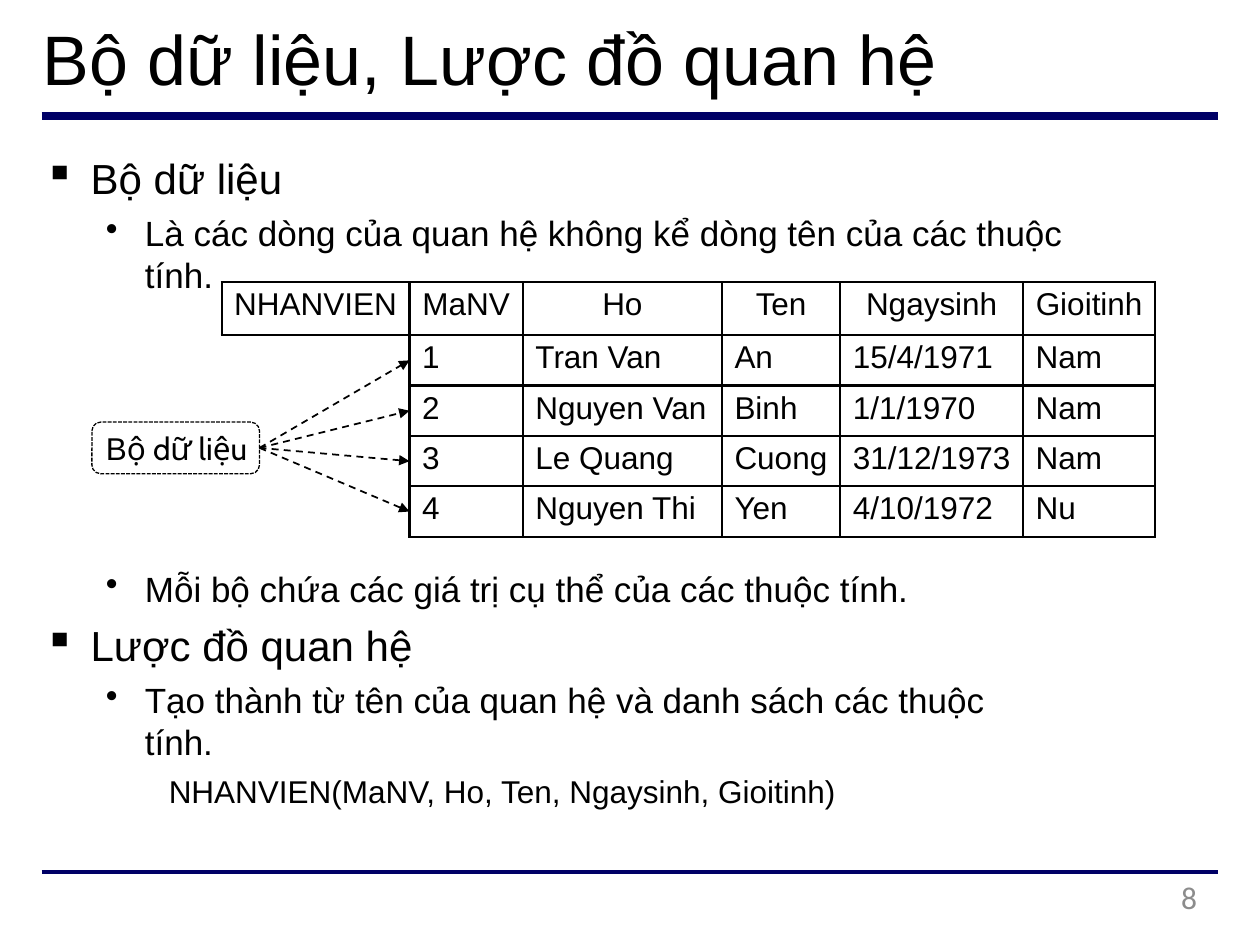
import itertools

import pptx
import pptx.dml.color
import pptx.enum.dml
import pptx.enum.shapes
import pptx.enum.text
import pptx.oxml.ns
import pptx.util
from lxml import etree

THEME = {
    "ink": pptx.dml.color.RGBColor(0x00, 0x00, 0x00),
    "rule": pptx.dml.color.RGBColor(0x00, 0x00, 0x66),
    "number": pptx.dml.color.RGBColor(0x8C, 0x8C, 0x8C),
    "font": "Arial",
    "label_font": "Cabin",
    "number_font": "Calibri",
    "title": 40,
    "topic": 24,
    "point": 20,
    "small": 18,
}

deck = pptx.Presentation()
deck.slide_width = pptx.util.Inches(10)
deck.slide_height = pptx.util.Inches(7.5)
page = deck.slides.add_slide(deck.slide_layouts[6])

# Grid of 100 columns by 75 rows, with square cells
CELL = deck.slide_width // 100
MARGIN = 3.3
qn = pptx.oxml.ns.qn


def add_text(left, top, width, height, inset, lines):
    """Each line: text, size, indent, hanging, bullet, space before."""
    box = page.shapes.add_textbox(*(int(n * CELL) for n in (left, top, width, height)))
    frame = box.text_frame
    frame.word_wrap = True
    frame.margin_left = frame.margin_right = frame.margin_bottom = 0
    frame.margin_top = int(inset * CELL)
    for number, (text, size, indent, hanging, bullet, before) in enumerate(lines):
        para = frame.paragraphs[0] if number == 0 else frame.add_paragraph()
        para.text = text
        if number:
            para.space_before = pptx.util.Pt(before)
        props = para._p.get_or_add_pPr()
        props.set("marL", str(int(indent * CELL)))
        props.set("indent", str(int(-hanging * CELL)))
        if bullet:
            etree.SubElement(props, qn("a:buChar")).set("char", bullet)
        para.font.size = pptx.util.Pt(THEME[size])
        para.font.name = THEME["font"]
        para.font.color.rgb = THEME["ink"]
    return frame


def add_line(start, end, color, weight):
    line = page.shapes.add_connector(
        pptx.enum.shapes.MSO_CONNECTOR.STRAIGHT, *(int(n * CELL) for n in start + end))
    line.line.color.rgb = color
    line.line.width = pptx.util.Pt(weight)
    etree.SubElement(line._element.spPr, qn("a:effectLst"))
    return line


# Rules under the title and above the page number
for row, weight in ((9.2, 4.5), (69.2, 2.25)):
    add_line((MARGIN, row), (100 - MARGIN, row), THEME["rule"], weight)

# Title and body text
add_text(MARGIN, 1.1, 86.5, 6.9, 0.1,
         [("Bộ dữ liệu, Lược đồ quan hệ", "title", 0.1, 0, None, 0)])
topic = ("topic", 3.9, 3.7, "▪", 6)
point = ("point", 8.2, 3.1, "•", 5.1)
add_text(MARGIN, 11.1, 87.1, 9.2, 1, [
    ("Bộ dữ liệu", *topic),
    ("Là các dòng của quan hệ không kể dòng tên của các thuộc tính.", *point),
])
add_text(MARGIN, 44.2, 81, 16.9, 0.8, [
    ("Mỗi bộ chứa các giá trị cụ thể của các thuộc tính.", *point),
    ("Lược đồ quan hệ", *topic),
    ("Tạo thành từ tên của quan hệ và danh sách các thuộc tính.", *point),
    ("NHANVIEN(MaNV, Ho, Ten, Ngaysinh, Gioitinh)", "small", 10.1, 0, None, 5.1),
])

# Relation table: the relation name stands left of the header
records = [
    ("NHANVIEN", "MaNV", "Ho", "Ten", "Ngaysinh", "Gioitinh"),
    ("", "1", "Tran Van", "An", "15/4/1971", "Nam"),
    ("", "2", "Nguyen Van", "Binh", "1/1/1970", "Nam"),
    ("", "3", "Le Quang", "Cuong", "31/12/1973", "Nam"),
    ("", "4", "Nguyen Thi", "Yen", "4/10/1972", "Nu"),
]
TABLE_LEFT, TABLE_TOP, HEADER_ROW, DATA_ROW = 17.6, 22.4, 4.2, 4
widths = (14.9, 9, 15.8, 9.4, 14.5, 10.5)
heights = [HEADER_ROW] + [DATA_ROW] * (len(records) - 1)
table = page.shapes.add_table(
    len(heights), len(widths), int(TABLE_LEFT * CELL), int(TABLE_TOP * CELL),
    int(sum(widths) * CELL), int(sum(heights) * CELL)).table
table.first_row = table.horz_banding = False
for column, width in zip(table.columns, widths):
    column.width = int(width * CELL)
for row, height in zip(table.rows, heights):
    row.height = int(height * CELL)
table.cell(1, 0).merge(table.cell(len(records) - 1, 0))

for r, c in itertools.product(range(len(heights)), range(len(widths))):
    cell = table.cell(r, c)
    cell.margin_left = 0 if r == 0 else CELL
    cell.margin_right = cell.margin_bottom = 0
    cell.margin_top = int(0.4 * CELL)
    cell.fill.background()
    blank = r > 0 and c == 0
    if not blank:
        para = cell.text_frame.paragraphs[0]
        para.text = records[r][c]
        if r == 0:
            para.alignment = pptx.enum.text.PP_ALIGN.CENTER
        para.font.size = pptx.util.Pt(THEME["small"])
        para.font.name = THEME["font"]
        para.font.color.rgb = THEME["ink"]
    # Borders: the blank area keeps only its top and right edges
    for place, side in enumerate("LRTB"):
        border = etree.Element(qn(f"a:ln{side}"), w=str(pptx.util.Pt(1.5)))
        hidden = blank and (side in "LB" or (side == "T" and r > 1))
        if hidden:
            etree.SubElement(border, qn("a:noFill"))
        else:
            paint = etree.SubElement(border, qn("a:solidFill"))
            etree.SubElement(paint, qn("a:srgbClr"), val=str(THEME["ink"]))
        cell._tc.get_or_add_tcPr().insert(place, border)

# Label for the tuples
label = page.shapes.add_shape(
    pptx.enum.shapes.MSO_SHAPE.ROUNDED_RECTANGLE,
    *(int(n * CELL) for n in (7.3, 33.5, 13.3, 4.1)))
label.adjustments[0] = 0.17
label.shadow.inherit = False
label.fill.background()
label.line.color.rgb = THEME["ink"]
label.line.width = pptx.util.Pt(0.75)
label.line.dash_style = pptx.enum.dml.MSO_LINE.SQUARE_DOT
frame = label.text_frame
frame.word_wrap = False
frame.vertical_anchor = pptx.enum.text.MSO_ANCHOR.MIDDLE
frame.margin_left = int(0.9 * CELL)
frame.margin_right = frame.margin_top = frame.margin_bottom = 0
para = frame.paragraphs[0]
para.alignment = pptx.enum.text.PP_ALIGN.LEFT
for text, font in (("B", THEME["font"]), ("ộ dữ liệu", THEME["label_font"])):
    span = para.add_run()
    span.text = text
    span.font.name = font
    span.font.size = pptx.util.Pt(THEME["small"])
    span.font.color.rgb = THEME["ink"]

# Dashed arrows from the label to the middle of each data row
for number in range(len(records) - 1):
    target = TABLE_TOP + HEADER_ROW + DATA_ROW * (number + 0.5)
    arrow = add_line((20.6, 35.55), (TABLE_LEFT + widths[0], target), THEME["ink"], 1)
    arrow.begin_connect(label, 3)
    arrow.line.dash_style = pptx.enum.dml.MSO_LINE.DASH
    etree.SubElement(arrow.line._get_or_add_ln(), qn("a:tailEnd"), type="triangle")

# Page number
number_frame = add_text(72, 69.7, 23, 3.8, 0, [("8", "small", 0, 0, None, 0)])
para = number_frame.paragraphs[0]
para.alignment = pptx.enum.text.PP_ALIGN.RIGHT
para.font.name = THEME["number_font"]
para.font.color.rgb = THEME["number"]

deck.save("out.pptx")
